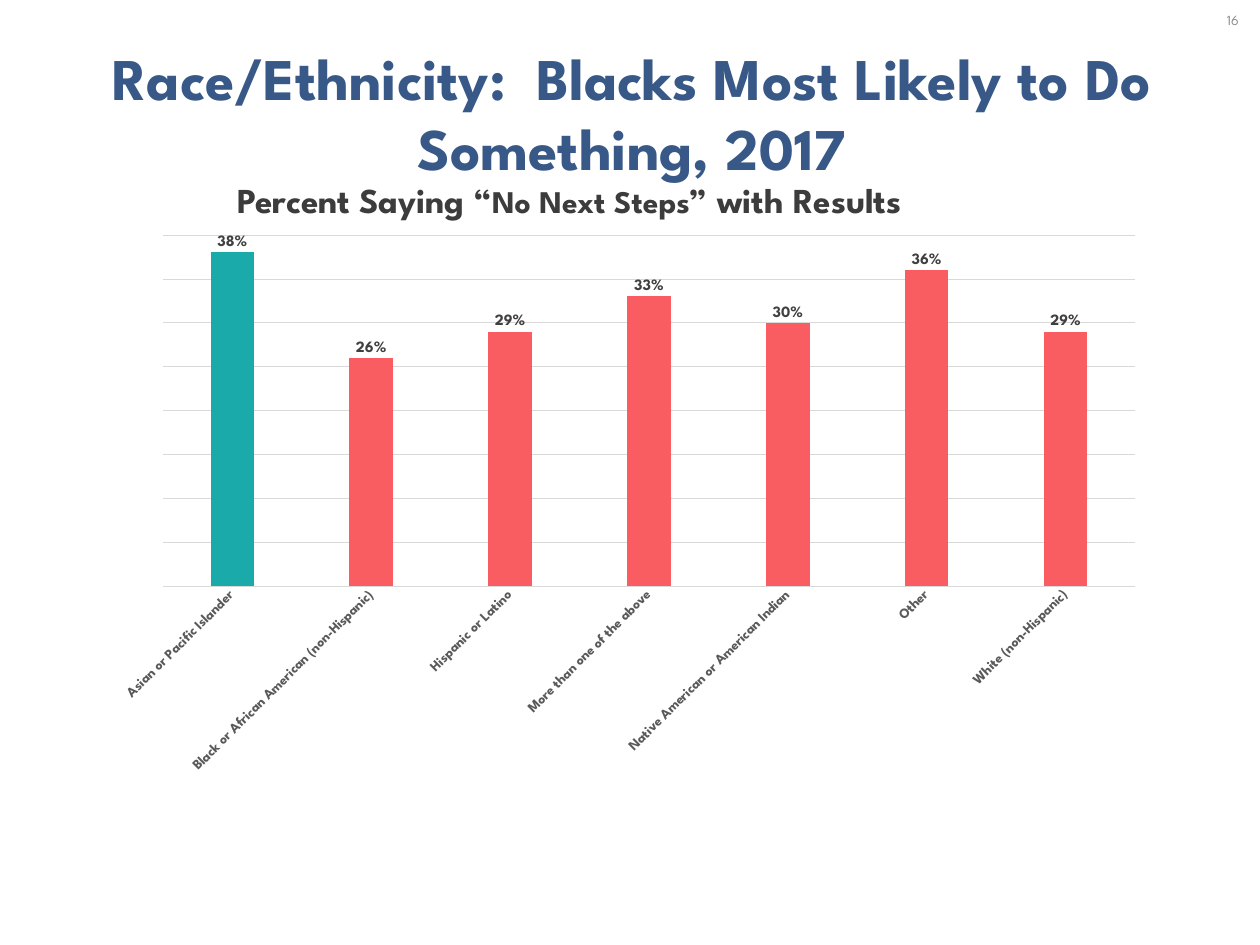
"""Build the slide on respondents with no next steps, by race and ethnicity."""
from pptx import Presentation
from pptx.chart.data import CategoryChartData
from pptx.dml.color import RGBColor
from pptx.enum import chart as ch, text
from pptx.oxml import parse_xml
from pptx.oxml.ns import nsdecls
from pptx.util import Inches, Pt

FONT = "League Spartan"
TITLE = "Race/Ethnicity:  Blacks Most Likely to Do Something, 2017"
SUBTITLE = [("Percent Saying “", 40), ("No Next Steps", 36), ("” with Results", 40)]
PAGE = "16"
SHARES = {
    "Asian or Pacific Islander": 0.38,
    "Black or African American (non-Hispanic)": 0.26,
    "Hispanic or Latino": 0.29,
    "More than one of the above": 0.33,
    "Native American or American Indian": 0.30,
    "Other": 0.36,
    "White (non-Hispanic)": 0.29,
}
BAR, HIGHLIGHT, GRID = "F95D62", "1BAAAA", "D9D9D9"
CHART_BOX = (1.65, 3.57, 16.7, 8.89)
PLOT_BOX = (2.59, 3.73, 15.43, 5.57)


def rgb(value):
    return RGBColor.from_string(value)


def box(values):
    return [Inches(v) for v in values]


def style(font, size, color, bold=True):
    font.name, font.size, font.bold = FONT, Pt(size), bold
    font.color.rgb = rgb(color)


def paint(fill, color):
    fill.solid()
    fill.fore_color.rgb = rgb(color)


def rule(line):
    line.color.rgb = rgb(GRID)
    line.width = Pt(0.75)


def add_title(s):
    sp = s.shapes.title
    sp.left, sp.top, sp.width, sp.height = box((0.87, 1.05, 18.31, 1.45))
    tf = sp.text_frame
    tf.text = TITLE
    tf.auto_size = text.MSO_AUTO_SIZE.NONE
    tf.vertical_anchor = text.MSO_ANCHOR.MIDDLE
    p = tf.paragraphs[0]
    p.alignment = text.PP_ALIGN.CENTER
    style(p.runs[0].font, 67.5, "385988")


def add_page_number(s):
    tf = s.shapes.add_textbox(*box((19.14, 0, 0.86, 0.63))).text_frame
    tf.word_wrap = True
    tf.vertical_anchor = text.MSO_ANCHOR.MIDDLE
    tf.text = PAGE
    p = tf.paragraphs[0]
    p.alignment = text.PP_ALIGN.CENTER
    style(p.runs[0].font, 16, "8C8C8C", False)


def add_subtitle(s):
    tf = s.shapes.add_textbox(*box((3.67, 2.79, 11.59, 0.77))).text_frame
    tf.word_wrap = False
    tf.auto_size = text.MSO_AUTO_SIZE.SHAPE_TO_FIT_TEXT
    for words, size in SUBTITLE:
        r = tf.paragraphs[0].add_run()
        r.text = words
        style(r.font, size, "3C3C3C")


def place_plot(chart):
    left, top, width, height = CHART_BOX
    x, y, w, h = PLOT_BOX
    parts = {"x": (x - left) / width, "y": (y - top) / height,
             "w": w / width, "h": h / height}
    values = "".join(f'<c:{k} val="{v:.3f}"/>' for k, v in parts.items())
    area = chart.element.xpath("c:chart/c:plotArea")[0]
    for old in area.xpath("c:layout"):
        area.remove(old)
    area.insert(0, parse_xml(
        f'<c:layout {nsdecls("c")}><c:manualLayout><c:layoutTarget val="inner"/>'
        f'<c:xMode val="edge"/><c:yMode val="edge"/>{values}</c:manualLayout></c:layout>'))


def add_shares_chart(s):
    data = CategoryChartData(number_format="0%")
    data.categories = list(SHARES)
    data.add_series("Series 1", list(SHARES.values()))
    chart = s.shapes.add_chart(
        ch.XL_CHART_TYPE.COLUMN_CLUSTERED, *box(CHART_BOX), data).chart
    chart.has_title = chart.has_legend = False
    style(chart.font, 10, "000000", False)

    plot = chart.plots[0]
    plot.gap_width, plot.overlap, plot.vary_by_categories = 219, -27, False
    series = plot.series[0]
    paint(series.format.fill, BAR)
    paint(series.points[0].format.fill, HIGHLIGHT)
    labels = series.data_labels
    labels.show_value = True
    labels.position = ch.XL_LABEL_POSITION.OUTSIDE_END
    labels.number_format, labels.number_format_is_linked = "0%", False
    style(labels.font, 18, "404040")

    axis = chart.category_axis
    axis.major_tick_mark = axis.minor_tick_mark = ch.XL_TICK_MARK.NONE
    rule(axis.format.line)
    style(axis.tick_labels.font, 16, "595959")
    chart.element.xpath(".//c:catAx/c:txPr/a:bodyPr")[0].set("rot", "-2700000")

    axis = chart.value_axis
    axis.visible = False
    axis.minimum_scale, axis.maximum_scale, axis.major_unit = 0, 0.4, 0.05
    axis.tick_labels.number_format = "0%"
    axis.tick_labels.number_format_is_linked = False
    rule(axis.major_gridlines.format.line)
    place_plot(chart)


def main():
    prs = Presentation()
    prs.slide_width, prs.slide_height = Inches(20), Inches(15)
    s = prs.slides.add_slide(prs.slide_layouts[5])
    add_title(s)
    add_page_number(s)
    add_subtitle(s)
    add_shares_chart(s)
    prs.save("out.pptx")


if __name__ == "__main__":
    main()
